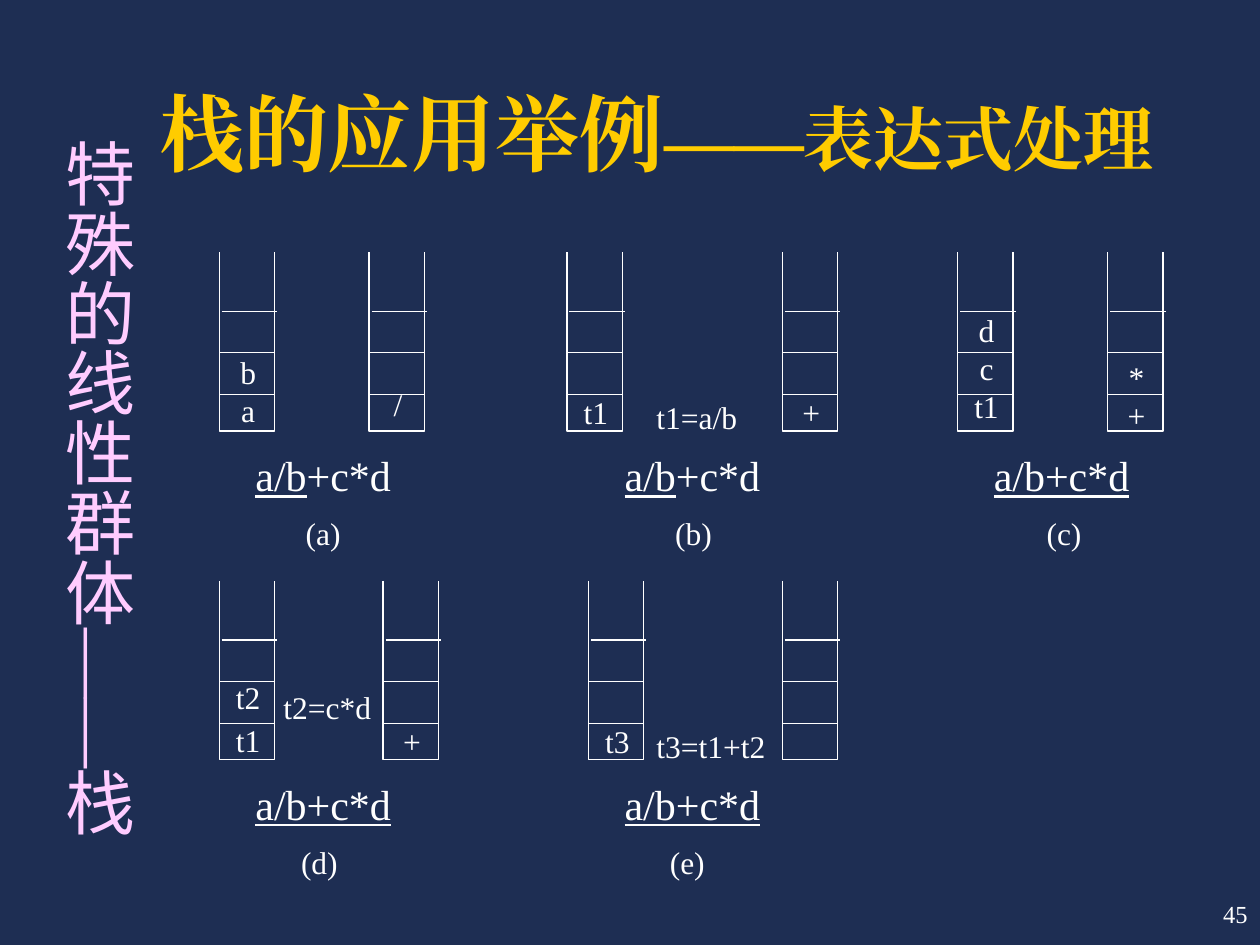
"""Build a slide that steps through evaluating an expression with two stacks."""
from lxml.etree import SubElement
from pptx import Presentation
from pptx.dml.color import RGBColor
from pptx.enum.shapes import MSO_CONNECTOR as Link
from pptx.enum.text import MSO_ANCHOR as Anchor, MSO_AUTO_SIZE as Auto, PP_ALIGN as Align
from pptx.oxml.ns import qn
from pptx.util import Inches, Pt

HUES = {"back": "1E2E53", "ink": "FFFFFF", "title": "FFCC00", "side": "FFCCFF"}
SERIF, SANS, HAN = "Times New Roman", "Arial", "Noto Sans CJK SC"
LEFT, TOP, STEP, DROP = 1.74, 2, 2.93, 2.61
WIDE, TALL = 0.44, 1.42
RUNGS = [(0, 1.13), (0, 0.8), (0.02, 0.47)]

# Each case: column, row, stacks (x, y of labels, labels, gap), formula, note, tag
CASES = [
    (0, 0, [(0, 0.8, "b a", 0), (1.19, 1.06, "/", 0)],
     ("a/b", "+c*d"), None, ("(a)", 0.66)),
    (1, 0, [(-0.17, 1.12, "t1", 0), (1.54, 1.12, "+", 0)],
     ("a/b", "+c*d"), ("t1=a/b", 0.54, 1.16), ("(b)", 0.67)),
    (2, 0, [(0, 0.47, "d c t1", 0), (1.19, 0.84, "* +", 0)],
     ("a/b+c*d",), None, ("(c)", 0.68)),
    (0, 1, [(0, 0.77, "t2 t1", 3), (1.3, 1.12, "+", 0)],
     ("a/b+c*d",), ("t2=c*d", 0.51, 0.85), ("(d)", 0.63)),
    (1, 1, [(0, 1.12, "t3", 0), (1.54, 0, "", 0)],
     ("a/b+c*d",), ("t3=t1+t2", 0.54, 1.16), ("(e)", 0.62)),
]


def tint(hue):
    return RGBColor.from_string(HUES[hue])


class Deck:
    """Hold the style and the current slide."""

    def __init__(self):
        self.file = Presentation()
        self.file.slide_width, self.file.slide_height = Inches(10), Inches(7.5)
        self.slide = self.file.slides.add_slide(self.file.slide_layouts[5])
        fill = self.slide.background.fill
        fill.solid()
        fill.fore_color.rgb = tint("back")

    def style(self, font, size, hue="ink", face=SERIF):
        font.size, font.name = Pt(size), face
        font.color.rgb = tint(hue)

    def east(self, run, face):
        SubElement(run.font._element.get_or_add_rPr() if hasattr(run.font._element, "get_or_add_rPr")
                   else run._r.get_or_add_rPr(), qn("a:ea")).set("typeface", face)

    def title(self, parts):
        head = self.slide.shapes.title
        head.left, head.top = Inches(1.17), Inches(0.25)
        head.width, head.height = Inches(8.17), Inches(1.25)
        frame = head.text_frame
        frame.auto_size, frame.vertical_anchor = Auto.NONE, Anchor.BOTTOM
        para = frame.paragraphs[0]
        para.alignment = Align.LEFT
        for text, size in parts:
            run = para.add_run()
            run.text = text
            self.style(run.font, size, "title", SANS)
            run.font.bold = True
            self.east(run, SERIF)

    def box(self, x, y, w, h, pad=(0, 0), wrap=True):
        shape = self.slide.shapes.add_textbox(*map(Inches, (x, y, w, h)))
        frame = shape.text_frame
        frame.word_wrap = wrap
        frame.margin_left = frame.margin_right = Inches(pad[0])
        frame.margin_top = frame.margin_bottom = Inches(pad[1])
        return frame

    def text(self, x, y, w, h, lines, size=18, align=Align.CENTER, gap=0):
        frame = self.box(x, y, w, h)
        for row, line in enumerate(lines):
            para = frame.add_paragraph() if row else frame.paragraphs[0]
            para.text, para.alignment = line, align
            para.space_before = Pt(gap if row else 0)
            self.style(para.font, size)

    def sum(self, x, y, parts):
        para = self.box(x, y, 1.65, 0.33).paragraphs[0]
        para.alignment = Align.CENTER
        self.style(para.font, 24)
        for spot, part in enumerate(parts):
            run = para.add_run()
            run.text, run.font.underline = part, spot == 0

    def line(self, x, y):
        rung = self.slide.shapes.add_connector(
            Link.STRAIGHT, *map(Inches, (x, y, x + WIDE, y)))
        self.pen(rung)
        SubElement(rung._element.spPr, qn("a:effectLst"))

    def pen(self, shape):
        shape.line.color.rgb, shape.line.width = tint("ink"), Pt(0.75)

    def stack(self, x, y, drop, words, gap):
        path = self.slide.shapes.build_freeform(Inches(x), Inches(y))
        ends = [(x, y + TALL), (x + WIDE, y + TALL), (x + WIDE, y)]
        path.add_line_segments([(Inches(a), Inches(b)) for a, b in ends], close=False)
        shape = path.convert_to_shape()
        shape.fill.background()
        shape.shadow.inherit = False
        self.pen(shape)
        if words:
            self.text(x + 0.05, y + drop, 0.36, TALL - drop, words.split(), gap=gap)
        for dx, dy in RUNGS:
            self.line(x + dx, y + dy)

    def case(self, col, row, stacks, parts, note, tag):
        x, y = LEFT + col * STEP, TOP + row * DROP
        for dx, drop, words, gap in stacks:
            self.stack(x + dx, y, drop, words, gap)
        self.sum(x, y + 1.57, parts)
        if note:
            self.text(x + note[1], y + note[2], 1, 0.31, [note[0]], align=Align.LEFT)
        self.text(x + tag[1], y + 2.08, 0.33, 0.31, [tag[0]])

    def side(self, parts):
        frame = self.box(0.3, 1, 0.86, 5.75, (0.05, 0.1))
        frame._txBody.bodyPr.set("vert", "eaVert")
        para = frame.paragraphs[0]
        para.space_before = Pt(25)
        for text, face in parts:
            run = para.add_run()
            run.text = text
            self.style(run.font, 40, "side", face)
            self.east(run, face)

    def page(self, text):
        frame = self.box(7.92, 7, 2.08, 0.5, (0.1, 0.05))
        frame.vertical_anchor = Anchor.MIDDLE
        para = frame.paragraphs[0]
        para.text, para.alignment = text, Align.RIGHT
        self.style(para.font, 14)


def main():
    deck = Deck()
    deck.page("45")
    deck.title([("栈的应用举例", 48), ("——表达式处理", 40)])
    for case in CASES:
        deck.case(*case)
    deck.side([("特殊的线性群体", HAN), ("——", SERIF), ("栈", HAN)])
    deck.file.save("out.pptx")


if __name__ == "__main__":
    main()
